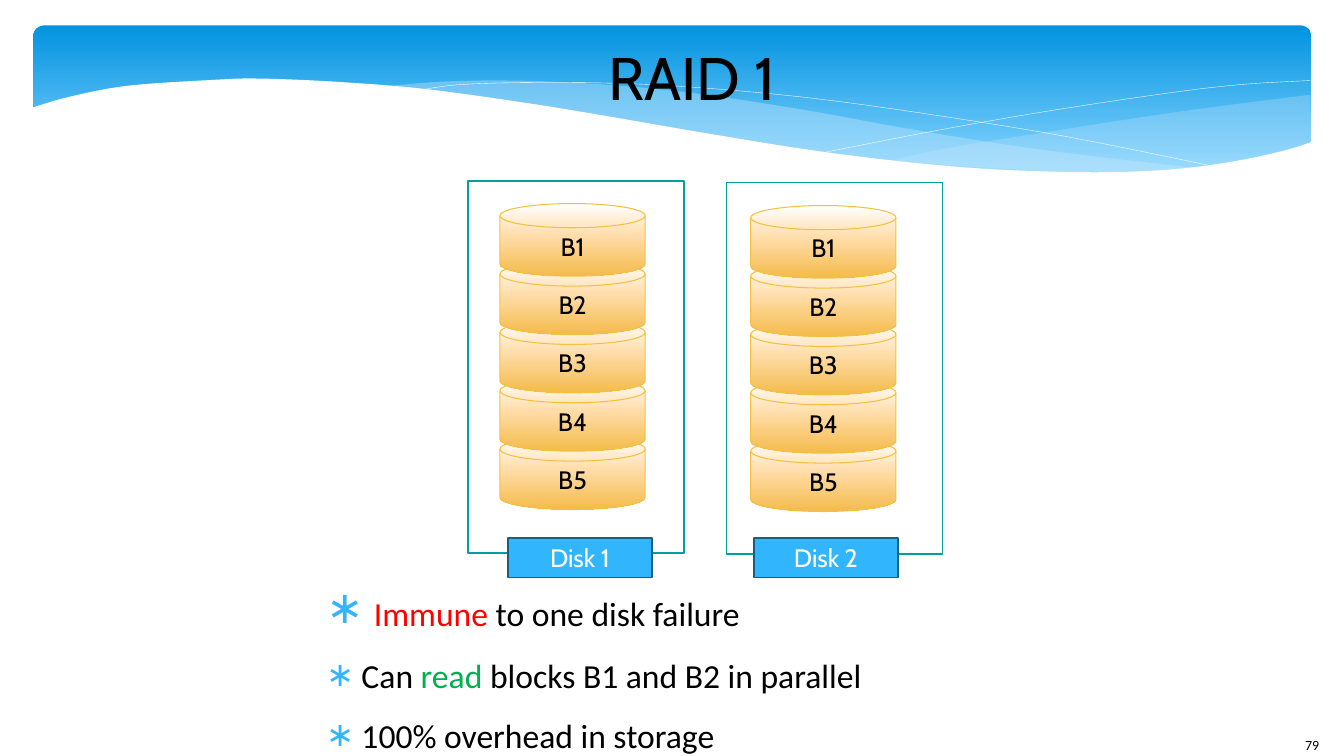
from dataclasses import dataclass

from lxml import etree
from pptx import Presentation
from pptx.dml.color import RGBColor
from pptx.enum.shapes import MSO_SHAPE
from pptx.enum.text import MSO_ANCHOR, MSO_AUTO_SIZE, PP_ALIGN
from pptx.oxml.ns import qn
from pptx.util import Cm, Pt

BAND = MSO_SHAPE.ROUNDED_RECTANGLE
BOX = MSO_SHAPE.FLOWCHART_PROCESS
CYLINDER = MSO_SHAPE.FLOWCHART_MAGNETIC_DISK
MIDDLE, TOP = MSO_ANCHOR.MIDDLE, MSO_ANCHOR.TOP
CENTER, LEFT = PP_ALIGN.CENTER, PP_ALIGN.LEFT
NO_FIT = MSO_AUTO_SIZE.NONE

BLACK, WHITE, SKY, PALE = "000000", "FFFFFF", "31B6FD", "C6E7FC"
BLOCKS = ("B1", "B2", "B3", "B4", "B5")
BLOCK_STEP = 1.47

Point = tuple[float, float]


@dataclass
class Wave:
    edges: list[list[Point]]  # each edge is smoothed on its own
    fill: str = ""
    alpha: int = 100
    line: str = ""


@dataclass
class Disk:
    name: str
    frame: Point
    stack: Point
    label: Point


WAVES = [
    Wave([[(33.02, 2.39), (31.17, 2.62), (29.13, 2.9), (26.37, 3.33), (23.9, 3.73), (22.4, 4.06)],
          [(22.4, 4.06), (24.33, 4.19), (26.44, 4.32), (28.27, 4.37), (29.85, 4.29),
           (31.19, 4.11), (32.16, 3.91), (33.05, 3.61)]], PALE, 29),
    Wave([[(9.7, 2.18), (11.1, 2.06), (12.85, 2.03), (14.96, 2.11), (17.42, 2.34),
           (20.27, 2.77), (22.63, 3.2), (25.12, 3.61), (27.33, 3.91), (30.23, 4.24)],
          [(30.23, 4.24), (27.69, 4.39), (25.35, 4.34), (22.53, 4.09), (19.79, 3.71),
           (17.93, 3.43), (15.21, 2.95), (12.98, 2.57), (10.95, 2.29), (9.7, 2.18)]], PALE, 40),
    Wave([[(10.46, 2.29), (11.63, 2.13), (13.59, 2.08), (15.88, 2.11), (18.03, 2.24),
           (20.6, 2.49), (23.55, 2.9), (26.92, 3.45), (30.73, 4.22)]], line=WHITE),
    Wave([[(20.78, 3.84), (23.55, 3.3), (26.29, 2.82), (29.34, 2.36), (31.29, 2.13),
           (33.02, 2.03)]], line=WHITE),
    Wave([[(0.79, 2.72), (1.75, 2.44), (3.23, 2.16), (5.44, 2.01), (6.55, 1.98),
           (8.46, 2.06), (10.69, 2.24), (13.23, 2.59), (15.14, 2.9), (17.93, 3.38),
           (20.42, 3.78), (22.63, 4.06), (24.61, 4.24), (26.34, 4.32), (27.86, 4.34),
           (29.24, 4.29), (30.43, 4.17), (31.5, 3.99), (32.49, 3.76), (33.1, 3.56)],
          [(33.1, 5.69), (0.79, 5.69)]], WHITE),
]
DISKS = [
    Disk("Disk 1", (11.79, 4.57), (12.6, 5.13), (12.8, 13.56)),
    Disk("Disk 2", (18.31, 4.6), (18.92, 5.18), (19, 13.56)),
]
# Runs as (text, colour, size)
POINTS = [
    [(" ", BLACK, 32), ("Immune ", "FF0000", 24), ("to one disk failure", BLACK, 24)],
    [("Can ", BLACK, 24), ("read", "00B050", 24), (" blocks B1 and B2 in parallel", BLACK, 24)],
    [("100% overhead in storage", BLACK, 24)],
]


def paint(fill, color: str) -> None:
    fill.solid()
    fill.fore_color.rgb = RGBColor.from_string(color)


def gradient(sp, stops: list[tuple[int, str]]) -> None:
    """Fill a shape from top to bottom."""
    sp.fill.gradient()
    sp.fill.gradient_angle = 270
    gs_list = sp._element.spPr.find(qn("a:gradFill")).find(qn("a:gsLst"))
    for gs in list(gs_list):
        gs_list.remove(gs)
    for pos, color in stops:
        gs = etree.SubElement(gs_list, qn("a:gs"), pos=str(pos * 1000))
        etree.SubElement(gs, qn("a:srgbClr"), val=color)


def outline(sp, color: str = "", width: float = 1.25) -> None:
    sp.shadow.inherit = False
    if color:
        paint(sp.line.fill, color)
        sp.line.width = Pt(width)
    else:
        sp.line.fill.background()


def add_run(p, text: str, color: str, size: float, font: str) -> None:
    r = p.add_run()
    r.text = text
    for key, value in {"name": font, "size": Pt(size)}.items():
        setattr(r.font, key, value)
    paint(r.font.fill, color)


def setup_text(tf, anchor=MIDDLE, inset: float = 0) -> None:
    values = {"word_wrap": True, "auto_size": NO_FIT, "vertical_anchor": anchor}
    values |= {f"margin_{side}": Cm(inset) for side in ("left", "right", "top", "bottom")}
    for key, value in values.items():
        setattr(tf, key, value)


def add_box(shapes, kind, at: Point, size: Point, text: str = "", color: str = BLACK):
    sp = shapes.add_shape(kind, *map(Cm, at + size))
    if text:
        setup_text(sp.text_frame)
        p = sp.text_frame.paragraphs[0]
        p.alignment = CENTER
        add_run(p, text, color, 18, "Cabin")
    return sp


def smooth(pts: list[Point], steps: int = 6) -> list[Point]:
    """Catmull-Rom curve through the points."""
    if len(pts) < 3:
        return pts
    ends = [pts[0], *pts, pts[-1]]
    curve = [pts[0]]
    for a, b, c, d in zip(ends, ends[1:], ends[2:], ends[3:]):
        for t in (i / steps for i in range(1, steps + 1)):
            x, y = (b[k] + t / 2 * (c[k] - a[k] + t * (2 * a[k] - 5 * b[k] + 4 * c[k] - d[k]
                    + t * (3 * b[k] - a[k] - 3 * c[k] + d[k]))) for k in (0, 1))
            curve.append((x, y))
    return curve


def add_wave(shapes, wave: Wave) -> None:
    pts = [(Cm(x), Cm(y)) for edge in wave.edges for x, y in smooth(edge)]
    builder = shapes.build_freeform(*pts[0])
    builder.add_line_segments(pts[1:], close=bool(wave.fill))
    sp = builder.convert_to_shape()
    outline(sp, wave.line, 0.25)
    if not wave.fill:
        sp.fill.background()
        return
    paint(sp.fill, wave.fill)
    if wave.alpha < 100:
        clr = sp._element.spPr.find(qn("a:solidFill"))[0]
        etree.SubElement(clr, qn("a:alpha"), val=str(wave.alpha * 1000))


def add_disk(shapes, disk: Disk) -> None:
    frame = add_box(shapes, BOX, disk.frame, (5.44, 9.37))
    paint(frame.fill, WHITE)
    outline(frame, "049E9B")
    left, top = disk.stack
    for i, block in reversed(list(enumerate(BLOCKS))):
        sp = add_box(shapes, CYLINDER, (left, top + i * BLOCK_STEP), (3.66, 1.83), block)
        gradient(sp, [(0, WHITE), (44, "FFDDAA"), (100, "F4BB4A")])
        outline(sp, "F5C040", 0.75)
    label = add_box(shapes, BOX, disk.label, (3.63, 0.99), disk.name, WHITE)
    paint(label.fill, SKY)
    outline(label, "195F84")


def place(shapes, sp, left: float, top: float, width: float, height: float) -> None:
    """Move a placeholder to the front and set its box."""
    sp.left, sp.top, sp.width, sp.height = map(Cm, (left, top, width, height))
    shapes._spTree.append(sp._element)


def add_bullet(p) -> None:
    pPr = p._p.get_or_add_pPr()
    pPr.set("marL", str(Cm(1.19)))
    pPr.set("indent", str(Cm(-0.89)))
    bu_clr = etree.SubElement(pPr, qn("a:buClr"))
    etree.SubElement(bu_clr, qn("a:srgbClr"), val=SKY)
    etree.SubElement(pPr, qn("a:buFont"), typeface="Calibri")
    etree.SubElement(pPr, qn("a:buChar"), char="∗")


def main() -> None:
    prs = Presentation()
    prs.slide_width, prs.slide_height = Cm(33.87), Cm(19.05)
    slide = prs.slides.add_slide(prs.slide_layouts[1])
    shapes = slide.shapes
    title, body = shapes.title, slide.placeholders[1]

    # Header band and waves
    band = add_box(shapes, BAND, (0.84, 0.64), (32.21, 3.96))
    band.adjustments[0] = 0.07
    gradient(band, [(0, "0293E0"), (90, "83D3FE")])
    outline(band)
    for wave in WAVES:
        add_wave(shapes, wave)

    # Mirrored disks
    for disk in DISKS:
        add_disk(shapes, disk)

    # Title
    place(shapes, title, 7.14, 0.64, 20.6, 2.59)
    setup_text(title.text_frame)
    p = title.text_frame.paragraphs[0]
    p.alignment = CENTER
    add_run(p, "RAID 1", BLACK, 42.9, "Cabin")

    # Properties list
    place(shapes, body, 7.92, 14.66, 22.25, 3.84)
    tf = body.text_frame
    setup_text(tf, TOP)
    for i, runs in enumerate(POINTS):
        p = tf.add_paragraph() if i else tf.paragraphs[0]
        add_bullet(p)
        for key, value in {"alignment": LEFT, "space_before": Pt(0), "space_after": Pt(14.1)}.items():
            setattr(p, key, value)
        for text, color, size in runs:
            add_run(p, text, color, size, "Calibri")

    # Slide number
    number = shapes.add_textbox(*map(Cm, (32.89, 18.54, 0.9, 0.45)))
    setup_text(number.text_frame)
    add_run(number.text_frame.paragraphs[0], "79", BLACK, 10, "Calibri")

    prs.save("out.pptx")


if __name__ == "__main__":
    main()
